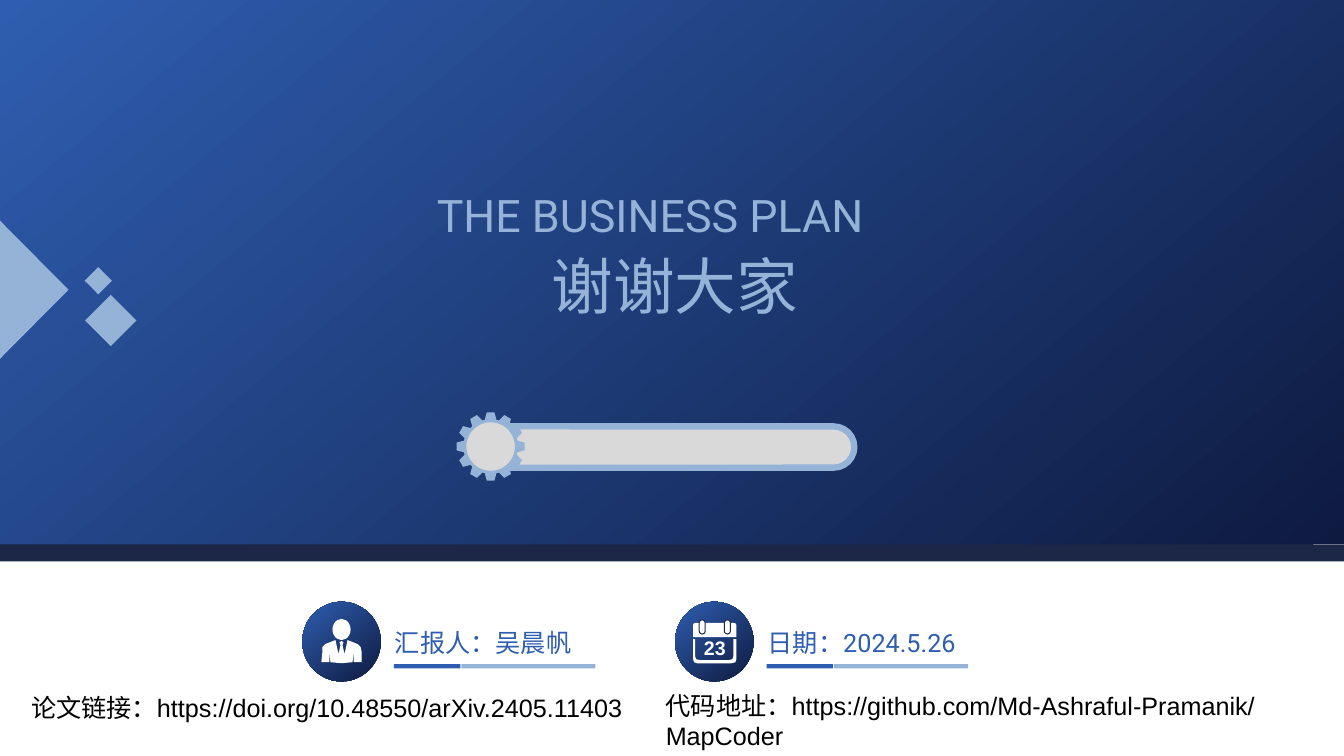
"""Build the closing slide: thanks, loading bar, presenter, date and links."""
import math
from dataclasses import dataclass

import pptx
import pptx.dml.color
import pptx.enum.shapes
import pptx.enum.text
import pptx.util

Inches = pptx.util.Inches
Pt = pptx.util.Pt
SHAPES = pptx.enum.shapes.MSO_SHAPE
ALIGN = pptx.enum.text.PP_ALIGN
ANCHOR = pptx.enum.text.MSO_ANCHOR


@dataclass(frozen=True)
class Theme:
    night: str = "0E1A40"
    navy: str = "1C2747"
    blue: str = "2F5EB0"
    sky: str = "95B3D7"
    gray: str = "D9D9D9"
    white: str = "FFFFFF"
    black: str = "000000"
    font: str = "Roboto"
    link_font: str = "Arial"
    title_size: int = 44
    subtitle_size: int = 32
    body_size: int = 18
    day_size: int = 14


THEME = Theme()
GRADIENT = (THEME.night, THEME.blue)

JACKET = [
    (3.59, 6.47), (3.58, 6.42), (3.55, 6.39), (3.45, 6.35), (3.42, 6.49),
    (3.4, 6.4), (3.41, 6.37), (3.39, 6.36), (3.37, 6.37), (3.38, 6.4),
    (3.36, 6.49), (3.33, 6.35), (3.23, 6.39), (3.2, 6.42), (3.2, 6.47),
    (3.19, 6.57), (3.27, 6.57), (3.27, 6.46), (3.28, 6.57), (3.39, 6.58),
    (3.5, 6.57), (3.51, 6.46), (3.51, 6.57), (3.59, 6.57),
]
CALENDAR_TRAY = [
    (6.88, 6.34), (6.9, 6.34), (6.9, 6.51), (6.91, 6.54), (6.95, 6.55),
    (7.23, 6.55), (7.27, 6.54), (7.28, 6.51), (7.28, 6.34), (7.31, 6.34),
    (7.31, 6.54), (7.3, 6.57), (7.26, 6.58), (6.92, 6.58), (6.89, 6.57),
    (6.88, 6.54),
]


def rgb(color):
    """Turn a hex string into a colour."""
    return pptx.dml.color.RGBColor.from_string(color)


def paint(shape, fill, line=None, line_width=1.0):
    """Give a shape a solid or two-stop gradient fill and an optional line."""
    shape.shadow.inherit = False
    if isinstance(fill, tuple):
        shape.fill.gradient()
        shape.fill.gradient_angle = 130
        for position, (stop, color) in enumerate(zip(shape.fill.gradient_stops, fill)):
            stop.position = position
            stop.color.rgb = rgb(color)
    else:
        shape.fill.solid()
        shape.fill.fore_color.rgb = rgb(fill)
    if line:
        shape.line.color.rgb = rgb(line)
        shape.line.width = Pt(line_width)
    else:
        shape.line.fill.background()


def add_block(shapes, kind, box, fill, rotation=0, **line):
    """Add a preset shape."""
    shape = shapes.add_shape(kind, *map(Inches, box))
    shape.rotation = rotation
    paint(shape, fill, **line)
    return shape


def add_outline(shapes, points, fill):
    """Add a closed polygon through points given in inches."""
    start, *rest = [(Inches(x), Inches(y)) for x, y in points]
    builder = shapes.build_freeform(*start)
    builder.add_line_segments(rest, close=True)
    paint(builder.convert_to_shape(), fill)


def add_text(shapes, text, box, *, size=THEME.body_size, color=THEME.black,
             font=THEME.font, bold=None, align=ALIGN.LEFT, anchor=ANCHOR.TOP,
             margins=(0.1, 0.05)):
    """Add a wrapped text box with one formatted paragraph."""
    frame = shapes.add_textbox(*map(Inches, box)).text_frame
    frame.word_wrap = True
    frame.vertical_anchor = anchor
    frame.margin_left = frame.margin_right = Inches(margins[0])
    frame.margin_top = frame.margin_bottom = Inches(margins[1])
    paragraph = frame.paragraphs[0]
    paragraph.alignment = align
    run = paragraph.add_run()
    run.text = text
    run.font.size = Pt(size)
    run.font.name = font
    run.font.bold = bold
    run.font.color.rgb = rgb(color)


def add_gear(shapes, center_x, center_y, teeth=12):
    """Add a toothed wheel with a pale hub."""
    profile = [(-12.5, 0.27), (-6.5, 0.34), (6.5, 0.34), (12.5, 0.27)]
    points = []
    for tooth in range(teeth):
        for offset, radius in profile:
            angle = math.radians(tooth * 360 / teeth + offset)
            points.append((center_x + radius * math.sin(angle),
                           center_y - radius * math.cos(angle)))
    add_outline(shapes, points, THEME.sky)
    hub = 0.51
    add_block(shapes, SHAPES.OVAL, (center_x - hub / 2, center_y - hub / 2, hub, hub),
              THEME.gray, line=THEME.sky, line_width=2)


def add_person(shapes):
    """Add the presenter's figure."""
    add_outline(shapes, JACKET, THEME.white)
    add_block(shapes, SHAPES.OVAL, (3.3, 6.14, 0.18, 0.21), THEME.white)


def add_calendar(shapes):
    """Add the calendar page with its rings and day."""
    add_outline(shapes, CALENDAR_TRAY, THEME.white)
    add_block(shapes, SHAPES.ROUND_2_SAME_RECTANGLE, (6.88, 6.18, 0.43, 0.14), THEME.white)
    for left in (6.94, 7.19):
        ring = add_block(shapes, SHAPES.ROUNDED_RECTANGLE, (left, 6.15, 0.06, 0.14),
                         THEME.white, line=THEME.navy, line_width=0.75)
        ring.adjustments[0] = 0.5
    add_text(shapes, "23", (6.89, 6.33, 0.41, 0.2), size=THEME.day_size,
             color=THEME.white, font=THEME.link_font, bold=True, align=ALIGN.CENTER,
             anchor=ANCHOR.MIDDLE, margins=(0, 0))


def add_detail(shapes, left, text, add_icon):
    """Add a round icon with an underlined caption."""
    group = shapes.add_group_shape().shapes
    add_block(group, SHAPES.OVAL, (left, 5.97, 0.78, 0.79), GRADIENT)
    add_icon(group)
    add_text(shapes, text, (left + 0.85, 6.18, 2.4, 0.38), color=THEME.blue,
             margins=(0.07, 0.04))
    for offset, width, color in ((0.91, 0.66, THEME.blue), (1.58, 1.33, THEME.sky)):
        add_block(shapes, SHAPES.RECTANGLE, (left + offset, 6.59, width, 0.04), color)


def add_backdrop(shapes):
    """Add the gradient panel, its lower band and the diamonds."""
    add_block(shapes, SHAPES.RECTANGLE, (0, -0.01, 13.39, 5.41), GRADIENT)
    add_block(shapes, SHAPES.RECTANGLE, (0, 5.4, 13.39, 0.17), THEME.navy)
    add_block(shapes, SHAPES.ISOSCELES_TRIANGLE, (-0.39, 2.52, 1.43, 0.71), THEME.sky, 90)
    for left, top, side in ((0.92, 3, 0.36), (0.88, 2.69, 0.19)):
        add_block(shapes, SHAPES.RECTANGLE, (left, top, side, side), THEME.sky, 45)


def main():
    """Build and save the slide."""
    presentation = pptx.Presentation()
    presentation.slide_width = Inches(13.34)
    presentation.slide_height = Inches(7.5)
    slide = presentation.slides.add_slide(presentation.slide_layouts[6])
    shapes = slide.shapes

    add_backdrop(shapes)
    add_text(shapes, "THE BUSINESS PLAN", (3.44, 1.83, 6.03, 0.59), color=THEME.sky,
             size=THEME.subtitle_size, align=ALIGN.CENTER, anchor=ANCHOR.MIDDLE)
    add_text(shapes, "谢谢大家", (1.29, 2.41, 10.82, 0.77), color=THEME.sky,
             size=THEME.title_size, align=ALIGN.CENTER)

    loading_bar = add_block(shapes, SHAPES.ROUNDED_RECTANGLE, (4.7, 4.23, 3.78, 0.41),
                            THEME.gray, line=THEME.sky, line_width=4.5)
    loading_bar.adjustments[0] = 0.5
    add_gear(shapes.add_group_shape().shapes, 4.87, 4.43)

    add_detail(shapes, 3, "汇报人：吴晨帆", add_person)
    add_detail(shapes, 6.7, "日期：2024.5.26", add_calendar)
    add_text(shapes, "论文链接：https://doi.org/10.48550/arXiv.2405.11403",
             (0.21, 6.82, 6.51, 0.4), font=THEME.link_font)
    add_text(shapes, "代码地址：https://github.com/Md-Ashraful-Pramanik/MapCoder",
             (6.51, 6.8, 6.39, 0.42), font=THEME.link_font)
    presentation.save("out.pptx")


if __name__ == "__main__":
    main()
